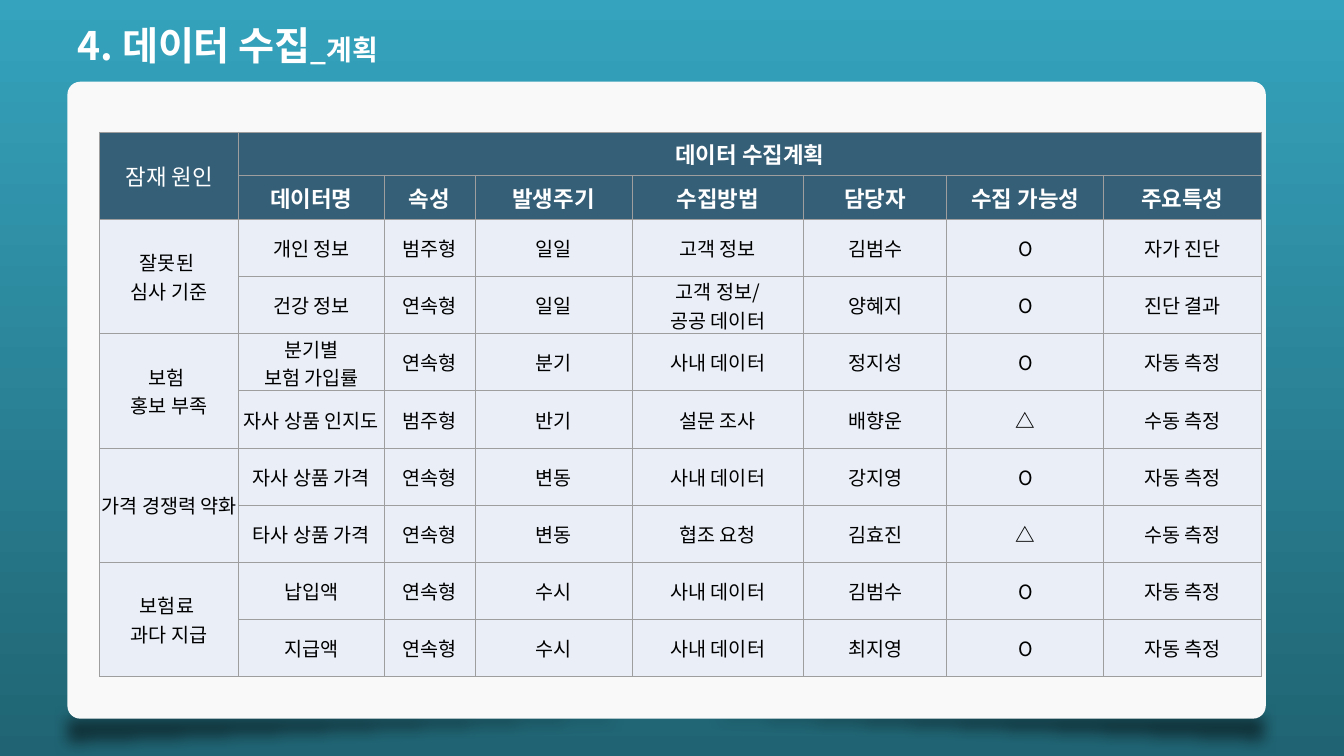
from lxml import etree
from pptx import Presentation
from pptx.dml.color import RGBColor
from pptx.enum import shapes, text
from pptx.oxml import ns
from pptx.util import Cm, Pt

FONT = "Noto Sans CJK KR"
WHITE, BLACK, PANEL = "FFFFFF", "000000", "F9F9F9"
HEADER_FILL, BODY_FILL, BORDER = "355F77", "EAEFF7", "9E9E9E"
BACKGROUND = ("35A3BD", "206473")

COLUMN_WIDTHS = (3.51, 3.66, 2.29, 3.96, 4.32, 3.61, 3.96, 3.96)
HEADER_HEIGHT, BODY_HEIGHT = 1.1, 1.44
HEADINGS = ("데이터명", "속성", "발생주기", "수집방법", "담당자", "수집 가능성", "주요특성")
CAUSES = {
    "잘못된 \n심사 기준": (
        ("개인 정보", "범주형", "일일", "고객 정보", "김범수", "O", "자가 진단"),
        ("건강 정보", "연속형", "일일", "고객 정보/\n공공 데이터", "양혜지", "O", "진단 결과"),
    ),
    "보험 \n홍보 부족": (
        (" 분기별 \n보험 가입률", "연속형", "분기", "사내 데이터", "정지성", "O", "자동 측정"),
        ("자사 상품 인지도", "범주형", "반기", "설문 조사", "배향운", "△", "수동 측정"),
    ),
    "가격 경쟁력 약화": (
        ("자사 상품 가격", "연속형", "변동", "사내 데이터", "강지영", "O", "자동 측정"),
        ("타사 상품 가격", "연속형", "변동", "협조 요청", "김효진", "△", "수동 측정"),
    ),
    "보험료 \n과다 지급": (
        ("납입액", "연속형", "수시", "사내 데이터", "김범수", "O", "자동 측정"),
        ("지급액", "연속형", "수시", "사내 데이터", "최지영", "O", "자동 측정"),
    ),
}


def color(value):
    return RGBColor.from_string(value)


def add_xml(parent, tag, **attributes):
    return etree.SubElement(parent, ns.qn(tag), attributes)


def add_span(para, content, *, size, ink, bold=False):
    span = para.add_run()
    span.text = content
    font = span.font
    font.name, font.size, font.bold = FONT, Pt(size), bold
    font.color.rgb = color(ink)
    add_xml(font._element, "a:ea", typeface=FONT)


def paint_background(page):
    fill = page.background.fill
    fill.gradient()
    fill.gradient_angle = 270
    for stop, position, value in zip(fill.gradient_stops, (0, 1), BACKGROUND):
        stop.position = position
        stop.color.rgb = color(value)


def add_box(page, kind, left, top, width, height, fill):
    box = page.shapes.add_shape(kind, Cm(left), Cm(top), Cm(width), Cm(height))
    box.shadow.inherit = False
    box.fill.solid()
    box.fill.fore_color.rgb = color(fill)
    box.line.fill.background()
    return box


def add_corner_shadow(page, left, top, **flips):
    """Add a soft, half-transparent wedge under the panel."""
    wedge = add_box(page, shapes.MSO_SHAPE.RIGHT_TRIANGLE, left, top, 30.53, 1.27, BLACK)
    properties = wedge._element.spPr
    for name, value in flips.items():
        properties.xfrm.set(name, value)
    add_xml(properties.find(".//" + ns.qn("a:srgbClr")), "a:alpha", val="51000")
    add_xml(properties.find(ns.qn("a:effectLst")), "a:softEdge", rad="127000")


def add_panel(page):
    add_corner_shadow(page, 1.65, 17.73, flipH="1", flipV="1")
    add_corner_shadow(page, 1.37, 17.78, flipV="1")
    panel = add_box(page, shapes.MSO_SHAPE.ROUNDED_RECTANGLE, 1.7, 2.06, 30.2, 16.05, PANEL)
    panel.adjustments[0] = 0.02


def add_title(page):
    frame = page.shapes.add_textbox(Cm(1.7), Cm(0.53), Cm(19.1), Cm(1.45)).text_frame
    frame.word_wrap = True
    frame.auto_size = text.MSO_AUTO_SIZE.SHAPE_TO_FIT_TEXT
    frame.margin_top = frame.margin_bottom = 0
    para = frame.paragraphs[0]
    add_span(para, "4. 데이터 수집", size=28, ink=WHITE, bold=True)
    add_span(para, "_계획", size=20, ink=WHITE, bold=True)


def style_cell(cell, fill):
    cell.margin_left = cell.margin_right = Cm(0.02)
    cell.margin_top = cell.margin_bottom = Cm(0.01)
    cell.vertical_anchor = text.MSO_ANCHOR.MIDDLE
    properties = cell._tc.get_or_add_tcPr()
    for side in ("a:lnL", "a:lnR", "a:lnT", "a:lnB"):
        line = add_xml(properties, side, w=str(Pt(0.75)))
        add_xml(add_xml(line, "a:solidFill"), "a:srgbClr", val=BORDER)
    cell.fill.solid()
    cell.fill.fore_color.rgb = color(fill)


def write_cell(cell, content, **style):
    frame = cell.text_frame
    for index, line in enumerate(content.split("\n")):
        para = frame.add_paragraph() if index else frame.paragraphs[0]
        para.alignment = text.PP_ALIGN.CENTER
        add_span(para, line, **style)


def add_plan_table(page):
    records = [record for pair in CAUSES.values() for record in pair]
    heights = [HEADER_HEIGHT] * 2 + [BODY_HEIGHT] * len(records)
    table = page.shapes.add_table(
        len(heights), len(COLUMN_WIDTHS), Cm(2.51), Cm(3.33),
        Cm(sum(COLUMN_WIDTHS)), Cm(sum(heights))).table
    table.first_row = table.horz_banding = False
    for column, width in zip(table.columns, COLUMN_WIDTHS):
        column.width = Cm(width)
    for index, (row, height) in enumerate(zip(table.rows, heights)):
        row.height = Cm(height)
        for cell in row.cells:
            style_cell(cell, HEADER_FILL if index < 2 else BODY_FILL)

    table.cell(0, 0).merge(table.cell(1, 0))
    table.cell(0, 1).merge(table.cell(0, len(HEADINGS)))
    write_cell(table.cell(0, 0), "잠재 원인", size=16, ink=WHITE)
    write_cell(table.cell(0, 1), "데이터 수집계획", size=16, ink=WHITE, bold=True)
    for column, heading in enumerate(HEADINGS, 1):
        write_cell(table.cell(1, column), heading, size=16, ink=WHITE, bold=True)
    for index, cause in enumerate(CAUSES):
        top = 2 + 2 * index
        table.cell(top, 0).merge(table.cell(top + 1, 0))
        write_cell(table.cell(top, 0), cause, size=14, ink=BLACK)
    for row, record in enumerate(records, 2):
        for column, value in enumerate(record, 1):
            write_cell(table.cell(row, column), value, size=14, ink=BLACK, bold=value == "△")


def main():
    deck = Presentation()
    deck.slide_width, deck.slide_height = Cm(33.87), Cm(19.05)
    page = deck.slides.add_slide(deck.slide_layouts[6])
    paint_background(page)
    add_panel(page)
    add_title(page)
    add_plan_table(page)
    deck.save("out.pptx")


if __name__ == "__main__":
    main()
